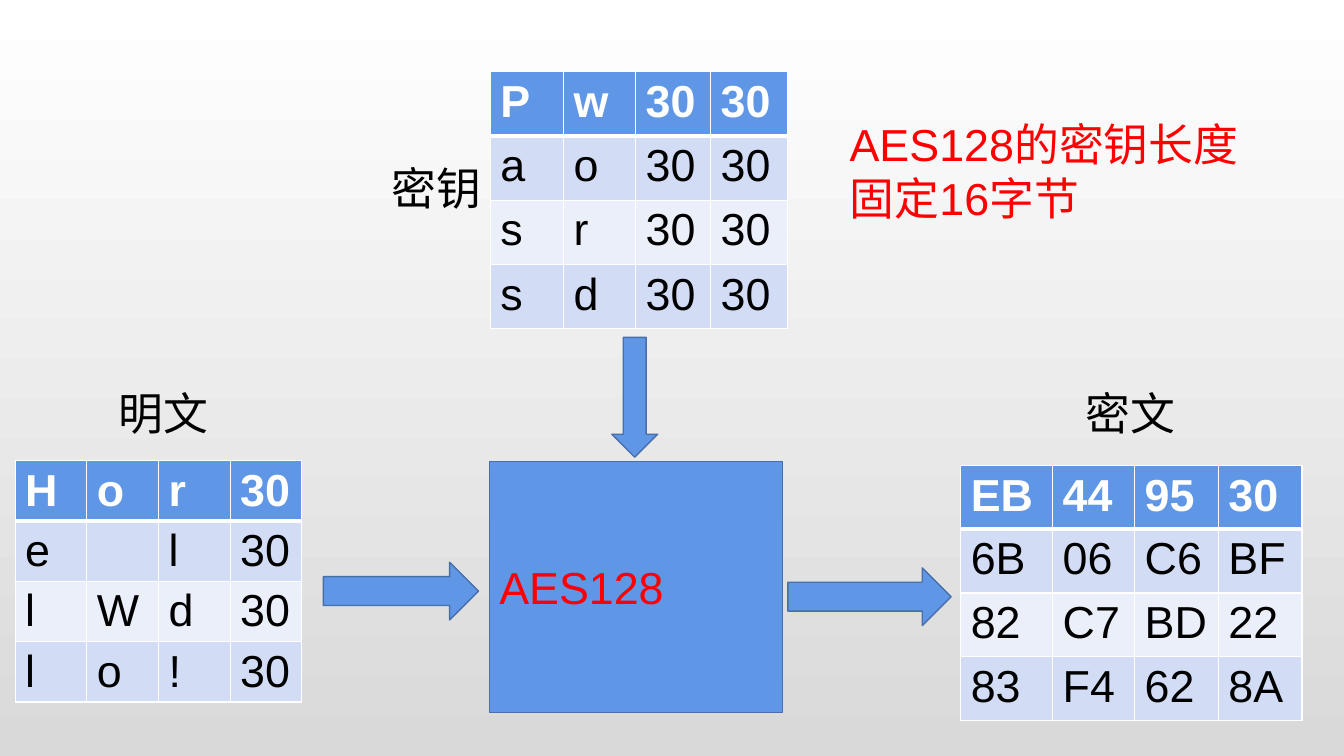
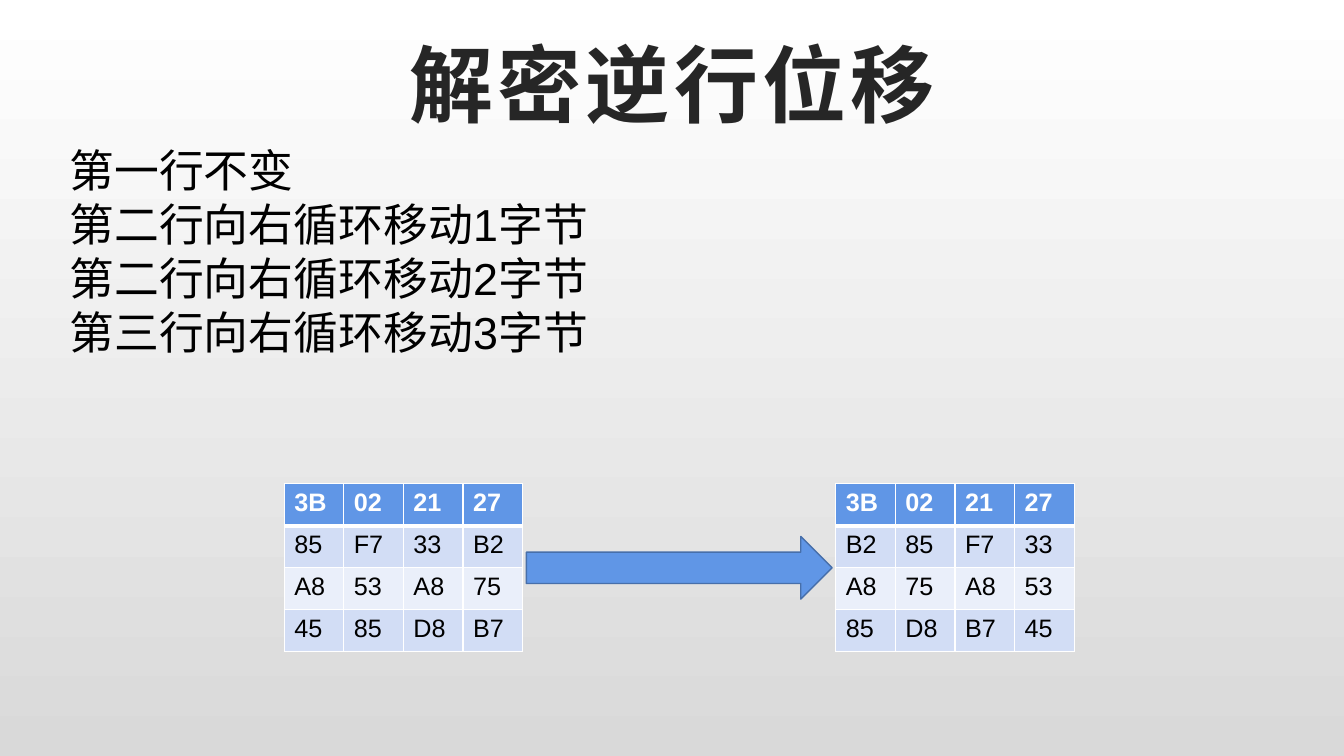
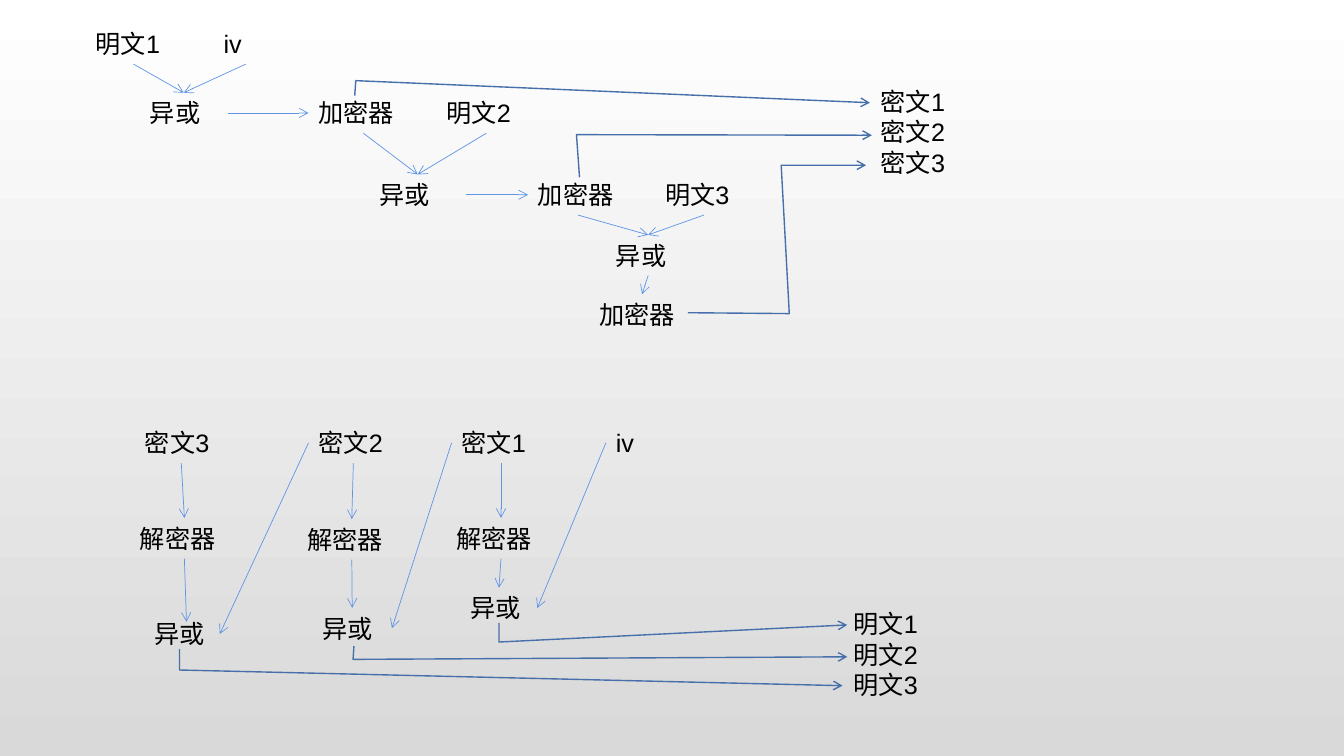
from lxml import etree
from pptx import Presentation
from pptx.dml.color import RGBColor
from pptx.enum.shapes import MSO_CONNECTOR, MSO_SHAPE
from pptx.enum.text import MSO_ANCHOR, MSO_AUTO_SIZE, PP_ALIGN
from pptx.oxml.ns import qn
from pptx.util import Pt

RECT, DOWN, RIGHT = MSO_SHAPE.RECTANGLE, MSO_SHAPE.DOWN_ARROW, MSO_SHAPE.RIGHT_ARROW
STRAIGHT = MSO_CONNECTOR.STRAIGHT
GROW = MSO_AUTO_SIZE.SHAPE_TO_FIT_TEXT
BOTTOM, CENTER = MSO_ANCHOR.BOTTOM, PP_ALIGN.CENTER

FONT = "Arial"
BLUE, EDGE = "6096E6", "476FAA"
BLACK, WHITE, RED, INK = "000000", "FFFFFF", "FF0000", "262626"
ROW_FILLS = [BLUE, "D2DDF5", "EAEFFA", "D2DDF5"]
TOP_SIDE, LEFT_SIDE, LOW_SIDE, RIGHT_SIDE = range(4)
rgb = RGBColor.from_string


def write(frame, text, size, color=BLACK, bold=False):
    frame.text = text
    for par in frame.paragraphs:
        for run in par.runs:
            font = run.font
            font.name, font.size, font.bold = FONT, Pt(size), bold
            font.color.rgb = rgb(color)


def arrow(shape, color, width):
    """Give a line its colour, width and open arrowhead, and no shadow."""
    shape.line.color.rgb = rgb(color)
    shape.line.width = Pt(width)
    props = shape.element.spPr
    etree.SubElement(props.find(qn("a:ln")), qn("a:tailEnd"), type="arrow")
    etree.SubElement(props, qn("a:effectLst"))


prs = Presentation()
prs.slide_width, prs.slide_height = Pt(960), Pt(540)

# Shared background, white at the top and grey at the bottom
back = prs.slide_master.background.fill
back.gradient()
back.gradient_angle = 270
for stop, color in zip(back.gradient_stops, [WHITE, "D9D9D9"]):
    stop.color.rgb = rgb(color)

blank = prs.slide_layouts[6]
cipher, shift, chain = [prs.slides.add_slide(blank) for _ in range(3)]

# Byte tables: slide, left, top, column widths, row height, text size, rows
tables = [
    (cipher, 10.8, 329, [51.2] * 4, 43, 32,
     [["H", "o", "r", "30"], ["e", "", "l", "30"],
      ["l", "W", "d", "30"], ["l", "o", "!", "30"]]),
    (cipher, 686.2, 332.6, [65.7, 58.6, 59.8, 59.8], 45.5, 32,
     [["EB", "44", "95", "30"], ["6B", "06", "C6", "BF"],
      ["82", "C7", "BD", "22"], ["83", "F4", "62", "8A"]]),
    (cipher, 350.2, 51.2, [52.4, 51.5, 53.5, 55.2], 45.9, 32,
     [["P", "w", "30", "30"], ["a", "o", "30", "30"],
      ["s", "r", "30", "30"], ["s", "d", "30", "30"]]),
    (shift, 203, 345.6, [42.6] * 4, 30, 18,
     [["3B", "02", "21", "27"], ["85", "F7", "33", "B2"],
      ["A8", "53", "A8", "75"], ["45", "85", "D8", "B7"]]),
    (shift, 597, 345.6, [42.6] * 4, 30, 18,
     [["3B", "02", "21", "27"], ["B2", "85", "F7", "33"],
      ["A8", "75", "A8", "53"], ["85", "D8", "B7", "45"]]),
]
for slide, x, y, widths, high, size, rows in tables:
    grid = slide.shapes.add_table(len(rows), len(widths), Pt(x), Pt(y),
                                  Pt(sum(widths)), Pt(high * len(rows))).table
    for col, width in zip(grid.columns, widths):
        col.width = Pt(width)
    for r, row in enumerate(rows):
        grid.rows[r].height = Pt(high)
        for c, text in enumerate(row):
            cell = grid.cell(r, c)
            props = cell._tc.get_or_add_tcPr()
            for side in "LRTB":
                thick = (r, side) in [(0, "B"), (1, "T")]
                edge = etree.SubElement(props, qn("a:ln" + side),
                                        w=str(Pt(3 if thick else 1)))
                fill = etree.SubElement(edge, qn("a:solidFill"))
                etree.SubElement(fill, qn("a:srgbClr"), val=WHITE)
            cell.fill.solid()
            cell.fill.fore_color.rgb = rgb(ROW_FILLS[r])
            write(cell.text_frame, text, size, BLACK if r else WHITE, r == 0)

# Block shapes: slide, kind, left, top, width, height, text
blocks = [
    (cipher, RECT, 349.6, 329.6, 209.6, 179.4, "AES128"),
    (cipher, DOWN, 437, 241, 32.8, 85.6, ""),
    (cipher, RIGHT, 231, 401.6, 110.8, 41.2, ""),
    (cipher, RIGHT, 562.8, 405.6, 116.6, 41.2, ""),
    (shift, RIGHT, 376, 383.2, 218.4, 44.8, ""),
]
for slide, kind, x, y, wide, high, text in blocks:
    block = slide.shapes.add_shape(kind, Pt(x), Pt(y), Pt(wide), Pt(high))
    block.shadow.inherit = False
    block.fill.solid()
    block.fill.fore_color.rgb = rgb(BLUE)
    block.line.color.rgb = rgb(EDGE)
    block.line.width = Pt(1)
    if text:
        write(block.text_frame, text, 32, RED)

# Title of the shift slide
title = shift.shapes.add_textbox(Pt(94.4), Pt(13.6), Pt(771.6), Pt(85)).text_frame
title.word_wrap = True
title.vertical_anchor = BOTTOM
write(title, "解密逆行位移", 60, INK, True)
title.paragraphs[0].alignment = CENTER
title.paragraphs[0].runs[0].font._element.set("spc", "300")

# Text boxes: slide, name, left, top, width, height, text, size, colour
labels = [
    (cipher, "plain", 77.8, 272.2, 101.6, 46, "明文", 32, BLACK),
    (cipher, "key", 272.6, 111.4, 86.4, 46, "密钥", 32, BLACK),
    (cipher, "secret", 768.2, 272.2, 101.6, 46, "密文", 32, BLACK),
    (cipher, "note", 599.8, 80, 319.6, 85, "AES128的密钥长度固定16字节", 32, RED),
    (shift, "steps", 42.6, 98.6, 437, 162,
     "第一行不变\n第二行向右循环移动1字节\n第二行向右循环移动2字节\n第三行向右循环移动3字节",
     32, BLACK),
    (chain, "secrets", 622, 58.2, 74.2, 72.7, "密文1\n密文2\n密文3", 18, BLACK),
    (chain, "plains", 602.6, 431.2, 74.2, 72.7, "明文1\n明文2\n明文3", 18, BLACK),
]
# Chain nodes: name, left, top, width, text
nodes = [
    ("plain1", 61.2, 16.8, 68.4, "明文1"),
    ("iv", 152.6, 16.8, 46, "iv"),
    ("xor1", 100, 66.2, 62.6, "异或"),
    ("enc1", 220.4, 66.2, 78.4, "加密器"),
    ("plain2", 311.8, 66.2, 71.2, "明文2"),
    ("xor2", 264.2, 124.6, 68.4, "异或"),
    ("enc2", 377.2, 124.6, 71.2, "加密器"),
    ("plain3", 468, 124.6, 69.8, "明文3"),
    ("xor3", 432.8, 167.8, 60.4, "异或"),
    ("enc3", 421.2, 210.2, 74.8, "加密器"),
    ("sec3", 96.4, 301.8, 66.2, "密文3"),
    ("sec2", 220.4, 301.8, 64, "密文2"),
    ("sec1", 322.6, 301.8, 70.6, "密文1"),
    ("iv_in", 432.8, 301.8, 36, "iv"),
    ("dec3", 92.8, 370, 77.8, "解密器"),
    ("dec2", 212.4, 370.8, 77.8, "解密器"),
    ("dec1", 319, 370, 77.8, "解密器"),
    ("mix3", 103, 438.4, 54, "异或"),
    ("mix2", 223.2, 434.2, 56.8, "异或"),
    ("mix1", 329, 419.8, 54.8, "异或"),
]
labels += [(chain, name, x, y, wide, 29, text, 18, BLACK)
           for name, x, y, wide, text in nodes]
boxes = {}
for slide, name, x, y, wide, high, text, size, color in labels:
    box = slide.shapes.add_textbox(Pt(x), Pt(y), Pt(wide), Pt(high))
    box.text_frame.word_wrap = True
    box.text_frame.auto_size = GROW
    write(box.text_frame, text, size, color)
    boxes[name] = box

# Straight arrows, by the side they leave and the side they reach
drops = [("plain1", "xor1"), ("iv", "xor1"), ("enc1", "xor2"), ("plain2", "xor2"),
         ("enc2", "xor3"), ("plain3", "xor3"), ("xor3", "enc3"),
         ("sec3", "dec3"), ("sec2", "dec2"), ("sec1", "dec1"),
         ("dec3", None), ("dec2", "mix2"), ("dec1", "mix1")]
steps = [("xor1", "enc1"), ("xor2", "enc2")]
feeds = [("sec2", "mix3"), ("sec1", "mix2"), ("iv_in", "mix1")]
for pairs, start, end in [(drops, LOW_SIDE, TOP_SIDE),
                          (steps, RIGHT_SIDE, LEFT_SIDE),
                          (feeds, LEFT_SIDE, RIGHT_SIDE)]:
    for source, goal in pairs:
        # An arrow without a goal ends freely, just inside the last 异或
        link = chain.shapes.add_connector(STRAIGHT, 0, 0, Pt(133.2), Pt(444.2))
        link.begin_connect(boxes[source], start)
        if goal:
            link.end_connect(boxes[goal], end)
        arrow(link, BLUE, 0.5)

# Bent arrows to the results
bends = [
    [(253.4, 68.4), (254.2, 57.6), (621.4, 73.4)],
    [(414, 126.7), (411.8, 96.2), (622.8, 96.6)],
    [(491.4, 223.4), (563.8, 224), (558, 118), (618.6, 118)],
    [(128.2, 463.6), (128.2, 478.6), (601.8, 489.8)],
    [(252.8, 461.6), (252.2, 471), (605.2, 469.2)],
    [(356.4, 445), (356.4, 458.6), (605.2, 446.4)],
]
for bend in bends:
    first, *rest = [(Pt(x), Pt(y)) for x, y in bend]
    outline = chain.shapes.build_freeform(*first)
    outline.add_line_segments(rest, close=False)
    route = outline.convert_to_shape()
    route.fill.background()
    arrow(route, EDGE, 1)

prs.save("out.pptx")
